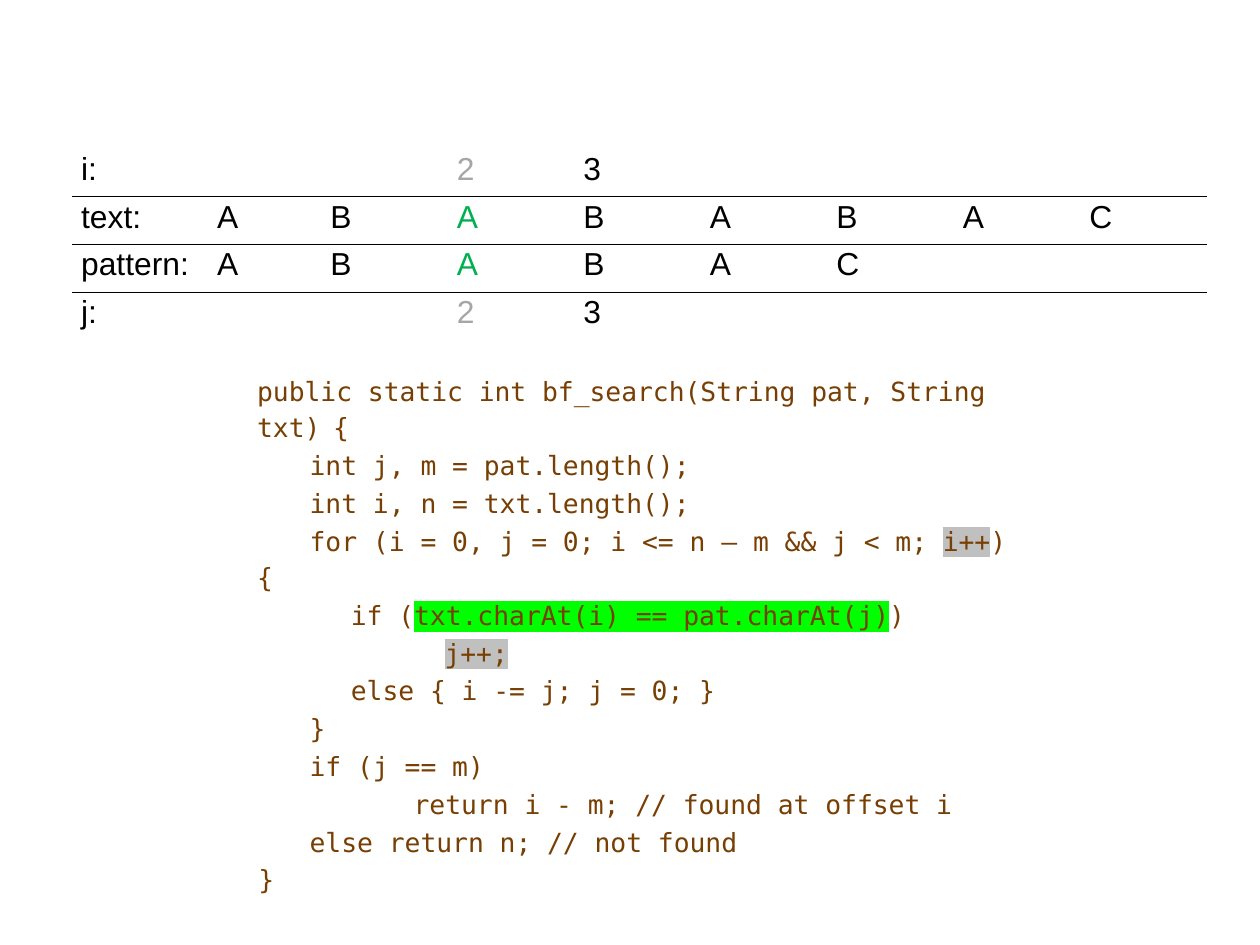
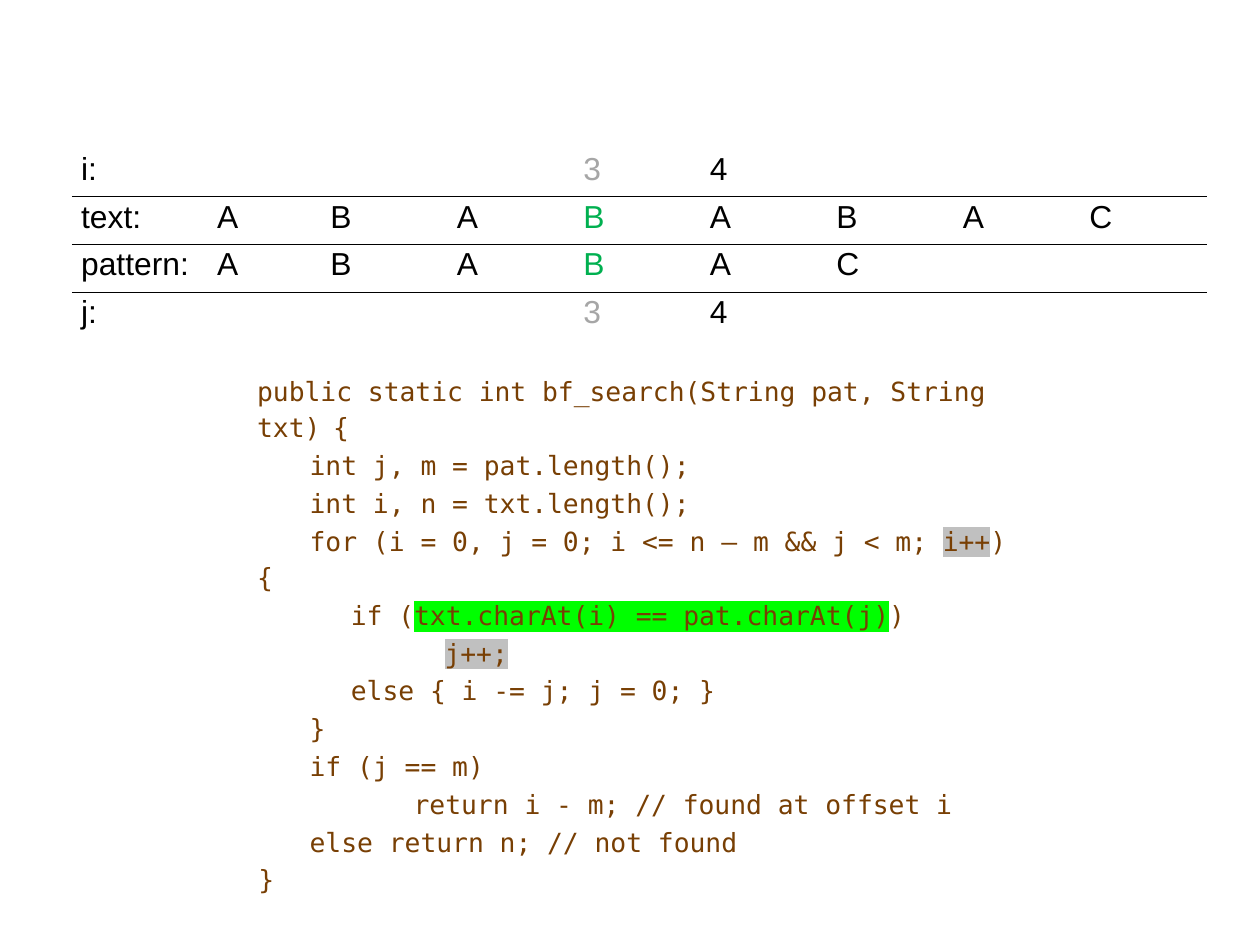
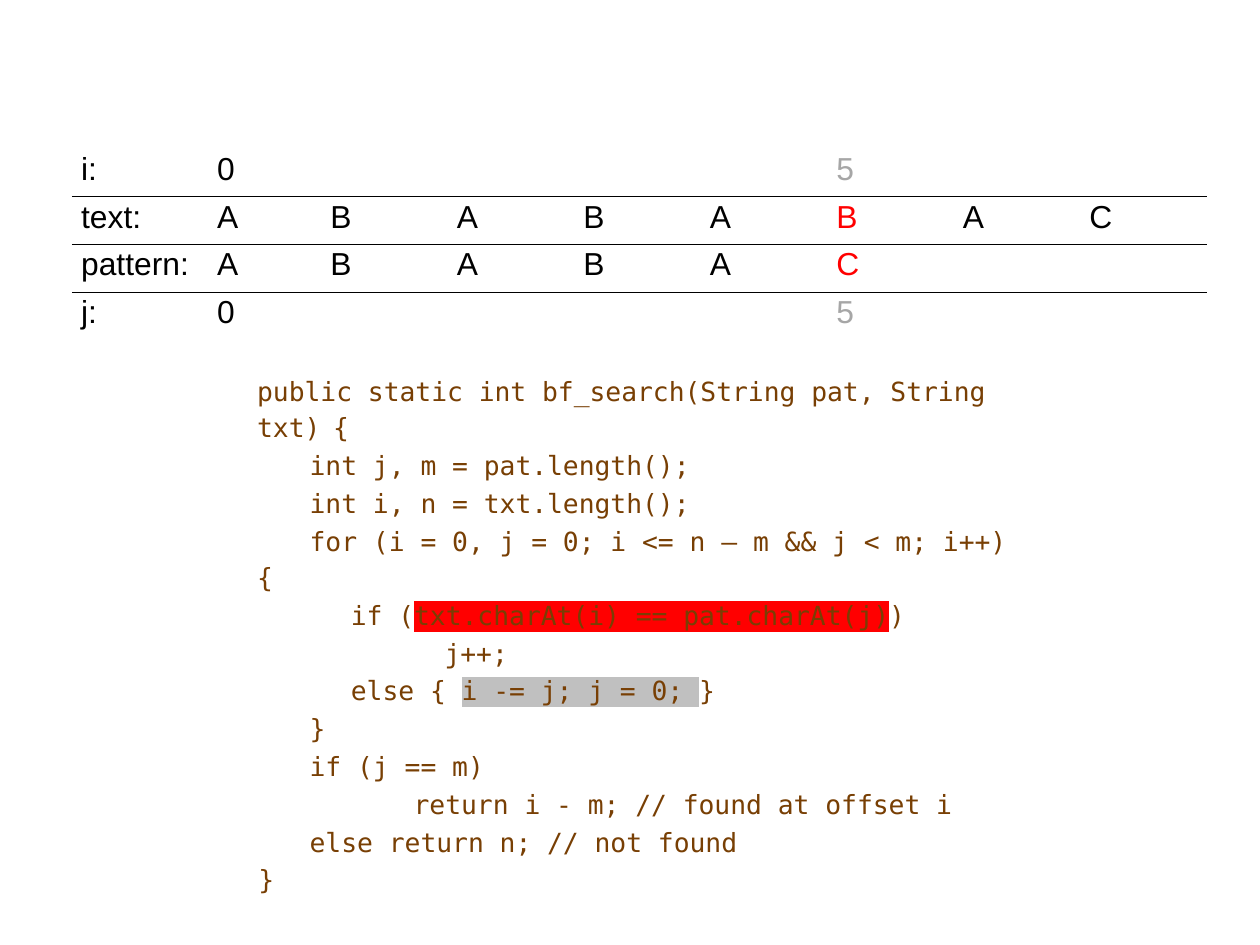
from lxml import etree
from pptx import Presentation
from pptx.dml.color import RGBColor
from pptx.oxml.ns import qn
from pptx.util import Cm, Inches, Pt

# Shared style
TEXT_FONT, CODE_FONT = "Arial", "DejaVu Sans Mono"
BLACK, FADED, BROWN = "000000", "A6A6A6", "783F04"
MATCH, MISMATCH = "00B050", "FF0000"
GREEN_MARK, RED_MARK, GREY_MARK = "00FF00", "FF0000", "C0C0C0"
NO_STYLE = "{2D5ABB26-0587-4C30-8999-92F81FD0307C}"

# Table content and grid
TEXT, PATTERN = "ABABABAC", "ABABAC"
TABLE_WIDTH, LABEL_WIDTH, FIRST_WIDTH = 9.93, 1.19, 0.99
LETTER_WIDTH = (TABLE_WIDTH - LABEL_WIDTH - FIRST_WIDTH) / 7
COLUMN_WIDTHS = [LABEL_WIDTH, FIRST_WIDTH] + [LETTER_WIDTH] * 7
ROW_HEIGHT = 0.42

# Code lines with left margin and first-line indent
INDENT = 0.46
TAB_SIZE = 0.82
CODE = [
    ("public static int bf_search(String pat, String txt) {", 0, 0),
    ("int j, m = pat.length();", 0, INDENT),
    ("int i, n = txt.length();", 0, INDENT),
    ("for (i = 0, j = 0; i <= n – m && j < m; i++) {", 0, INDENT),
    ("\tif (txt.charAt(i) == pat.charAt(j))", 0, INDENT),
    ("\t\tj++;", 0, INDENT),
    ("\telse { i -= j; j = 0; }", 0, INDENT),
    ("}", 0, INDENT),
    ("if (j == m)", 0, INDENT),
    ("return i - m; // found at offset i", 0.91, INDENT),
    ("else return n; // not found", 0, INDENT),
    ("}", 0, 0.01),
]

# Each step: compared position, next position, letter colour, marked code
COMPARISON = "txt.charAt(i) == pat.charAt(j)"
ADVANCE = {"i++": GREY_MARK, COMPARISON: GREEN_MARK, "j++;": GREY_MARK}
RESTART = {COMPARISON: RED_MARK, "i -= j; j = 0; ": GREY_MARK}
STEPS = [
    (2, 3, MATCH, ADVANCE),
    (3, 4, MATCH, ADVANCE),
    (5, 0, MISMATCH, RESTART),
]


def rgb(value):
    return RGBColor.from_string(value)


def add_element(parent, tag, **attributes):
    return etree.SubElement(parent, qn(tag), attributes)


def set_font(paragraph, name, size, color):
    paragraph.font.name = name
    paragraph.font.size = Pt(size)
    paragraph.font.color.rgb = rgb(color)


def add_bottom_border(cell):
    line = etree.Element(qn("a:lnB"), w=str(Pt(1)))
    fill = add_element(line, "a:solidFill")
    add_element(fill, "a:srgbClr", val=BLACK)
    cell._tc.get_or_add_tcPr().insert(0, line)


def fill_cell(cell, text, color, has_border):
    cell.margin_left = cell.margin_right = Inches(0.08)
    cell.margin_top = cell.margin_bottom = Inches(0.04)
    cell.fill.background()
    paragraph = cell.text_frame.paragraphs[0]
    paragraph.line_spacing = 0.95
    set_font(paragraph, TEXT_FONT, 20, color)
    if text:
        paragraph.add_run().text = text
    if has_border:
        add_bottom_border(cell)


def add_trace_table(slide, current, following, letter_color):
    counters = {current: str(current), following: str(following)}
    rows = [
        ("i:", counters, FADED),
        ("text:", dict(enumerate(TEXT)), letter_color),
        ("pattern:", dict(enumerate(PATTERN)), letter_color),
        ("j:", counters, FADED),
    ]
    table = slide.shapes.add_table(
        len(rows), len(COLUMN_WIDTHS), Inches(0.63), Inches(1.3),
        Inches(TABLE_WIDTH), Inches(ROW_HEIGHT * len(rows))).table
    table.first_row = table.horz_banding = False
    table._tbl.tblPr.find(qn("a:tableStyleId")).text = NO_STYLE
    for column, width in zip(table.columns, COLUMN_WIDTHS):
        column.width = Inches(width)
    for row_index, (label, values, current_color) in enumerate(rows):
        table.rows[row_index].height = Inches(ROW_HEIGHT)
        has_border = row_index < len(rows) - 1
        fill_cell(table.cell(row_index, 0), label, BLACK, has_border)
        for position in range(len(COLUMN_WIDTHS) - 1):
            color = current_color if position == current else BLACK
            fill_cell(table.cell(row_index, position + 1),
                      values.get(position, ""), color, has_border)


def add_code_run(paragraph, text, mark=None, size=None):
    if not text:
        return
    run = paragraph.add_run()
    run.text = text
    if size:
        run.font.size = Pt(size)
    if mark:
        highlight = add_element(run._r.get_or_add_rPr(), "a:highlight")
        add_element(highlight, "a:srgbClr", val=mark)


def add_code_text(paragraph, text, marks):
    # A narrower space precedes an opening brace at the line end
    has_brace = text.endswith(" {")
    text = text.removesuffix(" {")
    marked = next((phrase for phrase in marks if phrase in text), None)
    if marked:
        before, _, after = text.partition(marked)
        add_code_run(paragraph, before)
        add_code_run(paragraph, marked, mark=marks[marked])
        add_code_run(paragraph, after)
    else:
        add_code_run(paragraph, text)
    if has_brace:
        add_code_run(paragraph, " ", size=13.2)
        add_code_run(paragraph, "{")


def add_code_box(slide, marks):
    box = slide.shapes.add_textbox(
        Inches(2.16), Inches(3.15), Inches(6.87), Inches(4.09))
    frame = box.text_frame
    frame.word_wrap = True
    frame.margin_left = frame.margin_right = Inches(0.09)
    frame.margin_top = frame.margin_bottom = Inches(0.09)
    for index, (text, margin, indent) in enumerate(CODE):
        paragraph = frame.add_paragraph() if index else frame.paragraphs[0]
        properties = paragraph._p.get_or_add_pPr()
        properties.set("marL", str(Inches(margin)))
        properties.set("indent", str(Inches(indent)))
        properties.set("defTabSz", str(Inches(TAB_SIZE)))
        paragraph.line_spacing = 1.15
        if index:
            paragraph.space_before = Pt(0.9)
        set_font(paragraph, CODE_FONT, 16.6, BROWN)
        add_code_text(paragraph, text, marks)


def main():
    presentation = Presentation()
    presentation.slide_width = Cm(28)
    presentation.slide_height = Cm(21)
    for current, following, letter_color, marks in STEPS:
        slide = presentation.slides.add_slide(presentation.slide_layouts[6])
        add_code_box(slide, marks)
        add_trace_table(slide, current, following, letter_color)
    presentation.save("out.pptx")


if __name__ == "__main__":
    main()
